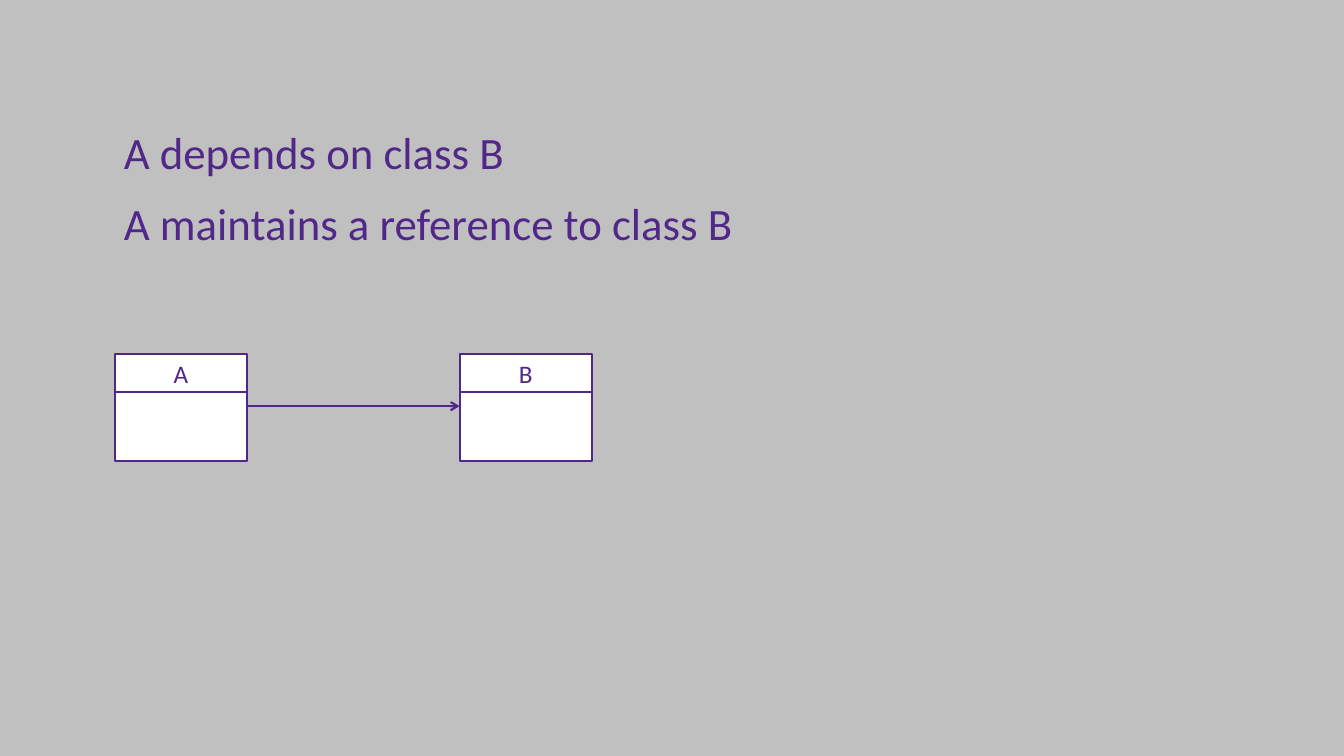
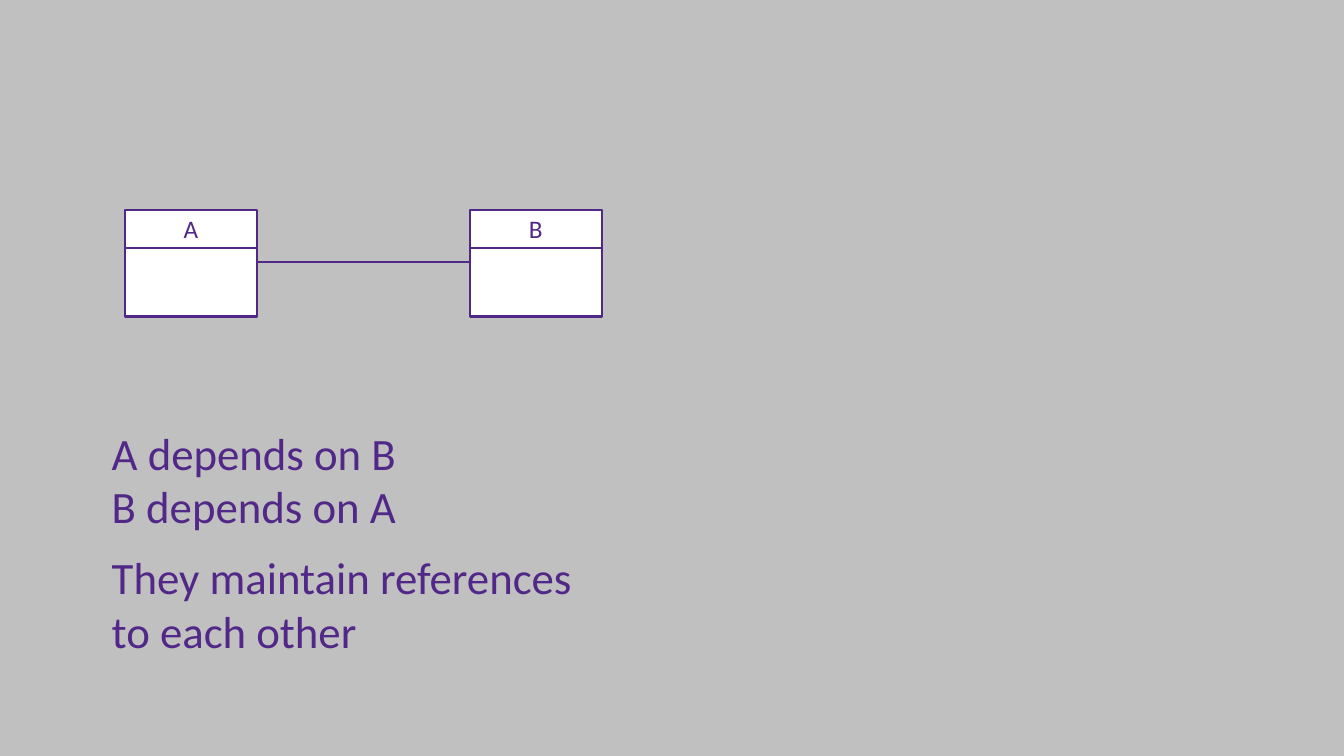
from lxml.etree import SubElement
from pptx import Presentation
from pptx.dml.color import RGBColor
from pptx.enum.shapes import MSO_CONNECTOR, MSO_SHAPE
from pptx.enum.text import MSO_ANCHOR, MSO_AUTO_SIZE, PP_ALIGN
from pptx.oxml.ns import qn
from pptx.util import Inches, Pt

# Shared look
SLIDE_WIDTH, SLIDE_HEIGHT = Inches(13.33), Inches(7.5)
GRAY, WHITE, PURPLE = "C0C0C0", "FFFFFF", "512888"
FONT = "Calibri"
LINE_WIDTH = 1.5

# Diagram proportions: widths in columns, heights as shares of the diagram
DIAGRAM_WIDTH, DIAGRAM_HEIGHT = 35.48, 14.13
CLASS_WIDTH = 9.83
NAME_SHARE = 0.36
LINK_SHARE = 0.49


def col(count):
    """A hundredth of the slide's width, times count."""
    return round(SLIDE_WIDTH * count / 100)


def row(count):
    """A hundredth of the slide's height, times count."""
    return round(SLIDE_HEIGHT * count / 100)


def paint(color_format, hex_color):
    color_format.rgb = RGBColor.from_string(hex_color)


def outline(shape):
    paint(shape.line.color, PURPLE)
    shape.line.width = Pt(LINE_WIDTH)


def add_span(para, text, size):
    span = para.add_run()
    span.text = text
    span.font.name = FONT
    span.font.size = Pt(size)
    paint(span.font.color, PURPLE)


def add_page(deck):
    page = deck.slides.add_slide(deck.slide_layouts[6])
    fill = page.background.fill
    fill.solid()
    paint(fill.fore_color, GRAY)
    return page


def add_compartment(shapes, left, top, width, height):
    box = shapes.add_shape(MSO_SHAPE.RECTANGLE, left, top, width, height)
    box.shadow.inherit = False
    box.fill.solid()
    paint(box.fill.fore_color, WHITE)
    outline(box)
    return box


def add_class(shapes, name, left, top, width, height):
    # Name compartment above an empty member compartment
    name_height = round(height * NAME_SHARE)
    title = add_compartment(shapes, left, top, width, name_height)
    title.text_frame.vertical_anchor = MSO_ANCHOR.MIDDLE
    para = title.text_frame.paragraphs[0]
    para.alignment = PP_ALIGN.CENTER
    add_span(para, name, 18)
    add_compartment(shapes, left, top + name_height, width, height - name_height)


def add_link(shapes, start, end, y, directed):
    link = shapes.add_connector(MSO_CONNECTOR.STRAIGHT, start, y, end, y)
    outline(link)
    if directed:
        SubElement(link.line._get_or_add_ln(), qn("a:tailEnd"), type="arrow")
    SubElement(link._element.spPr, qn("a:effectLst"))


def add_diagram(page, left, top, directed):
    # Two linked classes, one at each end of the diagram's box
    shapes = page.shapes.add_group_shape().shapes
    left, top = col(left), row(top)
    width, height = col(DIAGRAM_WIDTH), row(DIAGRAM_HEIGHT)
    class_width = col(CLASS_WIDTH)
    right_class = left + width - class_width
    for name, class_left in (("A", left), ("B", right_class)):
        add_class(shapes, name, class_left, top, class_width, height)
    add_link(shapes, left + class_width, right_class,
             top + round(height * LINK_SHARE), directed)


def add_statements(page, left, top, width, height, statements, wrap):
    # Each statement is its text and the space after it in points
    box = page.shapes.add_textbox(col(left), row(top), col(width), row(height))
    frame = box.text_frame
    frame.word_wrap = wrap
    frame.auto_size = MSO_AUTO_SIZE.SHAPE_TO_FIT_TEXT
    for index, (text, gap) in enumerate(statements):
        para = frame.add_paragraph() if index else frame.paragraphs[0]
        para.space_after = Pt(gap)
        add_span(para, text, 32)


def add_directed_page(deck):
    page = add_page(deck)
    add_diagram(page, 8.55, 46.8, directed=True)
    add_statements(page, 8.48, 15.87, 47.79, 18, [
        ("A depends on class B", 12),
        ("A maintains a reference to class B", 0),
    ], wrap=False)


def add_mutual_page(deck):
    page = add_page(deck)
    add_diagram(page, 9.3, 27.73, directed=False)
    add_statements(page, 7.58, 55.6, 36.08, 32.27, [
        ("A depends on B", 0),
        ("B depends on A", 12),
        ("They maintain references to each other", 0),
    ], wrap=True)


def main():
    deck = Presentation()
    deck.slide_width, deck.slide_height = SLIDE_WIDTH, SLIDE_HEIGHT
    add_directed_page(deck)
    add_mutual_page(deck)
    deck.save("out.pptx")


if __name__ == "__main__":
    main()
